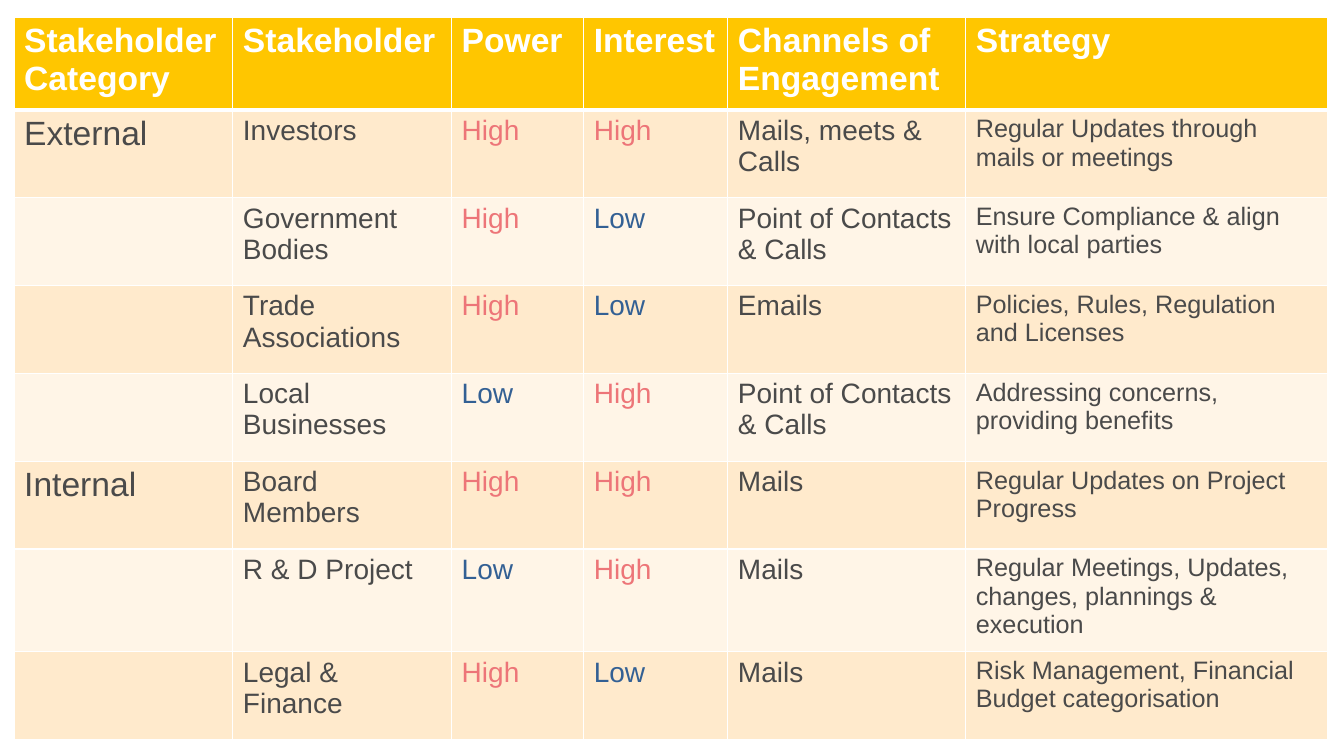
import pptx
import pptx.dml.color
import pptx.oxml
import pptx.oxml.ns
import pptx.util

Inches, Pt = pptx.util.Inches, pptx.util.Pt
RGB = pptx.dml.color.RGBColor

WHITE = RGB(0xFF, 0xFF, 0xFF)
GOLD = RGB(0xFF, 0xC6, 0x00)
PEACH = RGB(0xFF, 0xEA, 0xCC)
CREAM = RGB(0xFF, 0xF5, 0xE7)
GREY = RGB(0x4A, 0x4A, 0x4A)
RED = RGB(0xED, 0x75, 0x78)
BLUE = RGB(0x33, 0x60, 0x94)

LEVELS = {"High": RED, "Low": BLUE}
SIZES = [24, 20, 20, 20, 20, 18]
WIDTHS = [2.17, 2.17, 1.31, 1.43, 2.36, 3.59]
HEIGHTS = [0.92, 0.87, 0.87, 0.87, 0.87, 0.87, 1.02, 0.87]
ROWS = [
    ["Stakeholder Category", "Stakeholder", "Power", "Interest",
     "Channels of Engagement", "Strategy"],
    ["External", "Investors", "High", "High", "Mails, meets & Calls",
     "Regular Updates through mails or meetings"],
    ["", "Government Bodies", "High", "Low", "Point of Contacts & Calls",
     "Ensure Compliance & align with local parties"],
    ["", "Trade Associations", "High", "Low", "Emails",
     "Policies, Rules, Regulation and Licenses"],
    ["", "Local Businesses", "Low", "High", "Point of Contacts & Calls",
     "Addressing concerns, providing benefits"],
    ["Internal", "Board Members", "High", "High", "Mails",
     "Regular Updates on Project Progress"],
    ["", "R & D Project", "Low", "High", "Mails",
     "Regular Meetings, Updates, changes, plannings & execution"],
    ["", "Legal & Finance", "High", "Low", "Mails",
     "Risk Management, Financial Budget categorisation"],
]


def add_rules(cell, top, base):
    """Draw white cell borders; top and base are widths in points."""
    props = cell._tc.get_or_add_tcPr()
    sides = {"L": 1, "R": 1, "T": top, "B": base}
    for spot, (side, width) in enumerate(sides.items()):
        props.insert(spot, pptx.oxml.parse_xml(
            f'<a:ln{side} {pptx.oxml.ns.nsdecls("a")} w="{Pt(width)}">'
            f'<a:solidFill><a:srgbClr val="{WHITE}"/></a:solidFill>'
            f'</a:ln{side}>'))


def fill_cell(cell, text, back, size, color, bold):
    cell.fill.solid()
    cell.fill.fore_color.rgb = back
    if not text:
        return
    cell.text = text
    font = cell.text_frame.paragraphs[0].font
    font.name = "Arial"
    font.size = Pt(size)
    font.bold = bold
    font.color.rgb = color


def add_matrix(slide, left, top, width, height):
    """Place the stakeholder table in the given box."""
    table = slide.shapes.add_table(
        len(ROWS), len(WIDTHS), left, top, width, height).table
    for column, part in zip(table.columns, WIDTHS):
        column.width = int(width * part / sum(WIDTHS))
    for row, part in zip(table.rows, HEIGHTS):
        row.height = int(height * part / sum(HEIGHTS))
    for r, texts in enumerate(ROWS):
        head = r == 0
        back = GOLD if head else PEACH if r % 2 else CREAM
        for c, text in enumerate(texts):
            cell = table.cell(r, c)
            size = 24 if head else SIZES[c]
            color = WHITE if head else LEVELS.get(text, GREY)
            fill_cell(cell, text, back, size, color, head)
            add_rules(cell, 3 if r == 1 else 1, 3 if head else 1)


def main():
    deck = pptx.Presentation()
    deck.slide_width = Inches(13.33)
    deck.slide_height = Inches(7.5)
    slide = deck.slides.add_slide(deck.slide_layouts[6])
    add_matrix(slide, Inches(0.14), Inches(0.17), Inches(13.03), Inches(7.17))
    deck.save("out.pptx")


if __name__ == "__main__":
    main()
